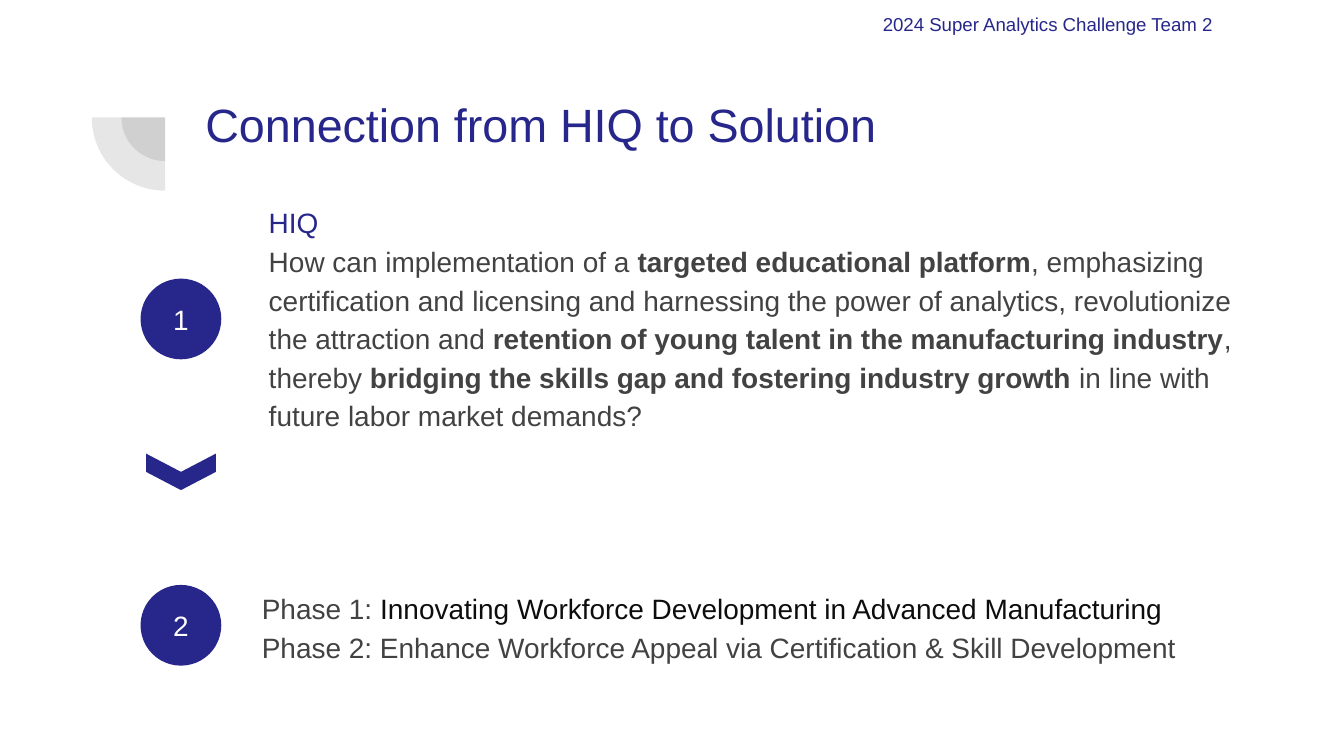
from lxml.etree import SubElement
from pptx import Presentation
from pptx.dml.color import RGBColor
from pptx.enum.shapes import MSO_SHAPE
from pptx.enum.text import MSO_ANCHOR, MSO_AUTO_SIZE, PP_ALIGN
from pptx.oxml.ns import qn
from pptx.util import Cm, Pt

NAVY = RGBColor(0x27, 0x27, 0x8B)
GRAY = RGBColor(0x42, 0x42, 0x42)
BLACK = RGBColor(0x0D, 0x0D, 0x0D)
WHITE = RGBColor(0xFF, 0xFF, 0xFF)
FONT = "Arial"

TITLE = "Connection from HIQ to Solution"
TEAM = "2024 Super Analytics Challenge Team 2"
QUESTION = [
    ("How can implementation of a ", GRAY, False),
    ("targeted educational platform", GRAY, True),
    (", emphasizing certification and licensing and harnessing the power of "
     "analytics, revolutionize the attraction and", GRAY, False),
    (" retention of young talent in the manufacturing industry", GRAY, True),
    (", thereby ", GRAY, False),
    ("bridging the skills gap and fostering industry growth", GRAY, True),
    (" in line with future labor market demands?", GRAY, False),
]
PHASES = [
    ("Phase 1: ", GRAY, False),
    ("Innovating Workforce Development in Advanced Manufacturing\n", BLACK, False),
    ("Phase 2: Enhance Workforce Appeal via Certification & Skill Development", GRAY, False),
]
STEPS = [("1", 6.03), ("2", 11.82)]

PIE_CENTER = (3.12, 2.22)
PIE_SIZES = (1.65, 2.77)
STEP_CENTER = 3.42
STEP_SIZE = 1.5
CHEVRON_CENTER = 8.92
CHEVRON_SIZE = (0.69, 1.32)


def write(frame, paragraphs, size=15, color=NAVY, align=PP_ALIGN.LEFT,
          anchor=MSO_ANCHOR.MIDDLE, spacing=1, after=0):
    frame.word_wrap = True
    frame.auto_size = MSO_AUTO_SIZE.NONE
    frame.vertical_anchor = anchor
    frame.margin_left = frame.margin_right = Cm(0.25)
    frame.margin_top = frame.margin_bottom = Cm(0.25)
    for index, content in enumerate(paragraphs):
        paragraph = frame.add_paragraph() if index else frame.paragraphs[0]
        paragraph.alignment = align
        paragraph.space_after = Pt(after)
        plain = isinstance(content, str)
        paragraph.line_spacing = 1.0 if plain else spacing
        for words, tint, bold in [(content, color, False)] if plain else content:
            run = paragraph.add_run()
            run.text = words.rstrip("\n")
            run.font.name = FONT
            run.font.size = Pt(size)
            run.font.bold = bold
            run.font.color.rgb = tint
            if words.endswith("\n"):
                paragraph.add_line_break()


def add_solid(slide, kind, center, size, color, rotation=0):
    (x, y), (width, height) = center, size
    solid = slide.shapes.add_shape(kind, Cm(x - width / 2), Cm(y - height / 2),
                                   Cm(width), Cm(height))
    solid.shadow.inherit = False
    solid.rotation = rotation
    solid.fill.solid()
    solid.fill.fore_color.rgb = color
    solid.line.fill.background()
    return solid


def add_text(slide, box, paragraphs, **formats):
    area = slide.shapes.add_textbox(*map(Cm, box))
    write(area.text_frame, paragraphs, **formats)


def main():
    deck = Presentation()
    deck.slide_width, deck.slide_height = Cm(25.4), Cm(14.29)
    slide = deck.slides.add_slide(deck.slide_layouts[5])

    for size in PIE_SIZES:
        pie = add_solid(slide, MSO_SHAPE.PIE, PIE_CENTER, (size, size), GRAY, 270)
        pie.adjustments[0], pie.adjustments[1] = 108, 162
        tint = pie.fill._xPr.find(qn("a:solidFill"))[0]
        SubElement(tint, qn("a:alpha")).set("val", "13000")

    title = slide.shapes.title
    title.left, title.top, title.width, title.height = map(Cm, (3.63, 1.57, 19.53, 2.77))
    write(title.text_frame, [TITLE], size=25, anchor=MSO_ANCHOR.TOP)
    add_text(slide, (2.36, 0, 20.8, 1.02), [TEAM], size=10,
             align=PP_ALIGN.RIGHT, anchor=MSO_ANCHOR.TOP)

    for number, middle in STEPS:
        step = add_solid(slide, MSO_SHAPE.OVAL, (STEP_CENTER, middle),
                         (STEP_SIZE, STEP_SIZE), NAVY)
        step.line.color.rgb = NAVY
        step.line.width = Pt(0.75)
        write(step.text_frame, [number], color=WHITE, align=PP_ALIGN.CENTER)

    add_text(slide, (4.83, 3.99, 19.41, 4.09), ["HIQ", QUESTION], spacing=1.15)
    add_text(slide, (4.7, 10.57, 19.53, 2.51), [PHASES], spacing=1.15, after=15)
    add_solid(slide, MSO_SHAPE.CHEVRON, (STEP_CENTER, CHEVRON_CENTER),
              CHEVRON_SIZE, NAVY, 90)

    deck.save("out.pptx")


if __name__ == "__main__":
    main()
